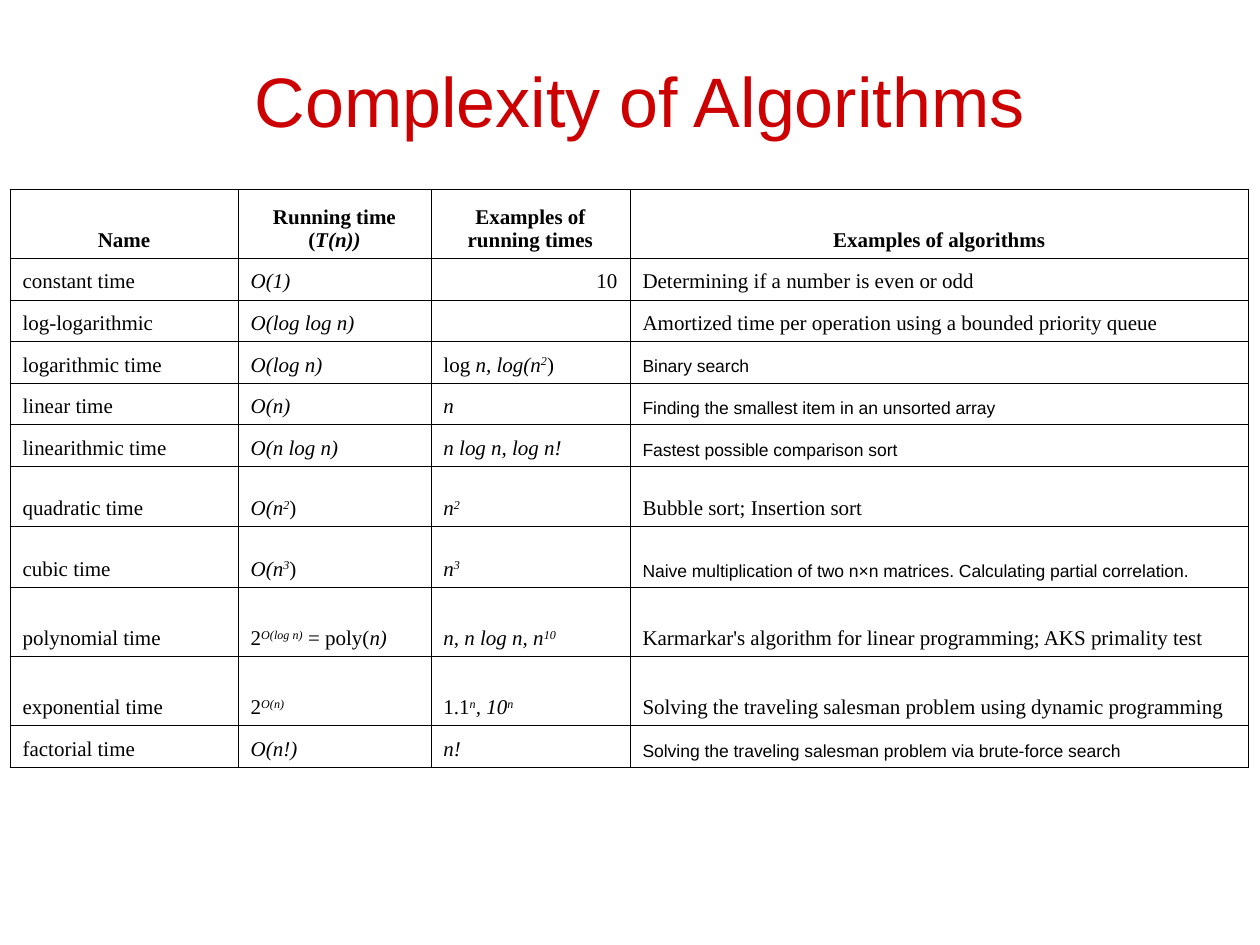
from lxml.etree import SubElement
from pptx import Presentation
from pptx.dml.color import RGBColor
from pptx.enum.text import MSO_ANCHOR, PP_ALIGN
from pptx.oxml.ns import qn
from pptx.util import Inches, Pt

RED = RGBColor(0xCC, 0x00, 0x00)
BLACK = RGBColor(0x00, 0x00, 0x00)
SERIF = {"font": "Times New Roman", "size": 12}
SANS = {"font": "Arial", "size": 10}

COLUMN_WIDTHS = [1.81, 1.53, 1.58, 4.91]
HEADER_HEIGHT = 0.55
HEADERS = ["Name", "Running time (*T(n))*", "Examples of running times", "Examples of algorithms"]
COMPLEXITIES = [
    (0.33, SERIF, "constant time", "*O(1)*", "10", "Determining if a number is even or odd"),
    (0.33, SERIF, "log-logarithmic", "*O(log log n)*", "",
     "Amortized time per operation using a bounded priority queue"),
    (0.33, SANS, "logarithmic time", "*O(log n)*", "log *n, log(n^2^*)", "Binary search"),
    (0.33, SANS, "linear time", "*O(n)*", "*n*", "Finding the smallest item in an unsorted array"),
    (0.33, SANS, "linearithmic time", "*O(n log n)*", "*n log n, log n!*",
     "Fastest possible comparison sort"),
    (0.48, SERIF, "quadratic time", "*O(n^2^*)", "*n^2^*", "Bubble sort; Insertion sort"),
    (0.48, SANS, "cubic time", "*O(n^3^*)", "*n^3^*",
     "Naive multiplication of two n×n matrices. Calculating partial correlation."),
    (0.55, SERIF, "polynomial time", "2*^O(log n)^* = poly(*n)*", "*n, n log n, n^10^*",
     "Karmarkar's algorithm for linear programming; AKS primality test"),
    (0.55, SERIF, "exponential time", "2*^O(n)^*", "1.1*^n^, 10^n^*",
     "Solving the traveling salesman problem using dynamic programming"),
    (0.33, SANS, "factorial time", "*O(n!)*", "*n!*",
     "Solving the traveling salesman problem via brute-force search"),
]


def write_text(para, text, font="Times New Roman", size=12, color=BLACK, bold=False,
               align=PP_ALIGN.LEFT):
    para.alignment = align
    for italic_index, chunk in enumerate(text.split("*")):
        for raised_index, piece in enumerate(chunk.split("^")):
            if not piece:
                continue
            span = para.add_run()
            span.text = piece
            span.font.name = font
            span.font.size = Pt(size)
            span.font.color.rgb = color
            span.font.bold = bold
            span.font.italic = italic_index % 2 == 1
            if raised_index % 2:
                span.font._element.set("baseline", "30000")
    if not text:
        para._p.get_or_add_endParaRPr().set("sz", str(size * 100))


def draw_borders(cell):
    properties = cell._tc.get_or_add_tcPr()
    for side in ("a:lnL", "a:lnR", "a:lnT", "a:lnB"):
        line = SubElement(properties, qn(side), w=str(Pt(0.45)))
        fill = SubElement(line, qn("a:solidFill"))
        SubElement(fill, qn("a:srgbClr"), val=str(BLACK))


def fill_cell(cell, text, **text_format):
    draw_borders(cell)
    cell.fill.background()
    cell.vertical_anchor = MSO_ANCHOR.BOTTOM
    write_text(cell.text_frame.paragraphs[0], text, **text_format)


def add_title(page, text):
    title = page.shapes.title
    title.left, title.top = Inches(0.5), Inches(0.25)
    title.width, title.height = Inches(9), Inches(1.08)
    frame = title.text_frame
    frame.margin_left = Inches(0.25)
    frame.vertical_anchor = MSO_ANCHOR.MIDDLE
    write_text(frame.paragraphs[0], text, font="Arial", size=40, color=RED,
               align=PP_ALIGN.CENTER)


def add_complexity_table(page):
    heights = [HEADER_HEIGHT] + [row[0] for row in COMPLEXITIES]
    table = page.shapes.add_table(
        len(heights), len(COLUMN_WIDTHS), Inches(0.08), Inches(1.5),
        Inches(sum(COLUMN_WIDTHS)), Inches(sum(heights))).table
    table.first_row = False
    table.horz_banding = False
    for column, width in zip(table.columns, COLUMN_WIDTHS):
        column.width = Inches(width)
    for row, height in zip(table.rows, heights):
        row.height = Inches(height)

    for index, header in enumerate(HEADERS):
        fill_cell(table.cell(0, index), header, bold=True, align=PP_ALIGN.CENTER)
    for row_index, (_, algorithm_style, *texts) in enumerate(COMPLEXITIES, start=1):
        for index, text in enumerate(texts):
            style = algorithm_style if index == len(texts) - 1 else SERIF
            align = PP_ALIGN.RIGHT if text.isdigit() else PP_ALIGN.LEFT
            fill_cell(table.cell(row_index, index), text, align=align, **style)


def main():
    deck = Presentation()
    deck.slide_width, deck.slide_height = Inches(10), Inches(7.5)
    page = deck.slides.add_slide(deck.slide_layouts[5])
    add_title(page, "Complexity of Algorithms")
    add_complexity_table(page)
    deck.save("out.pptx")


if __name__ == "__main__":
    main()
